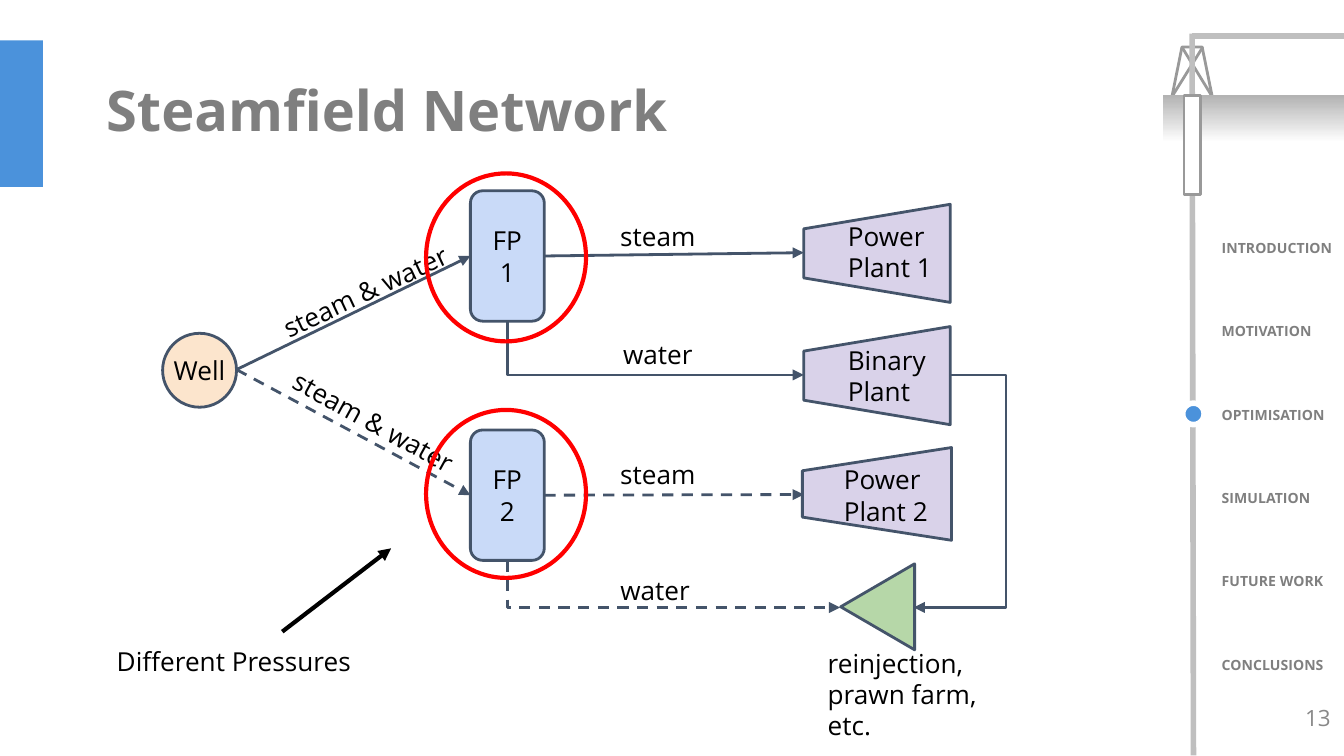
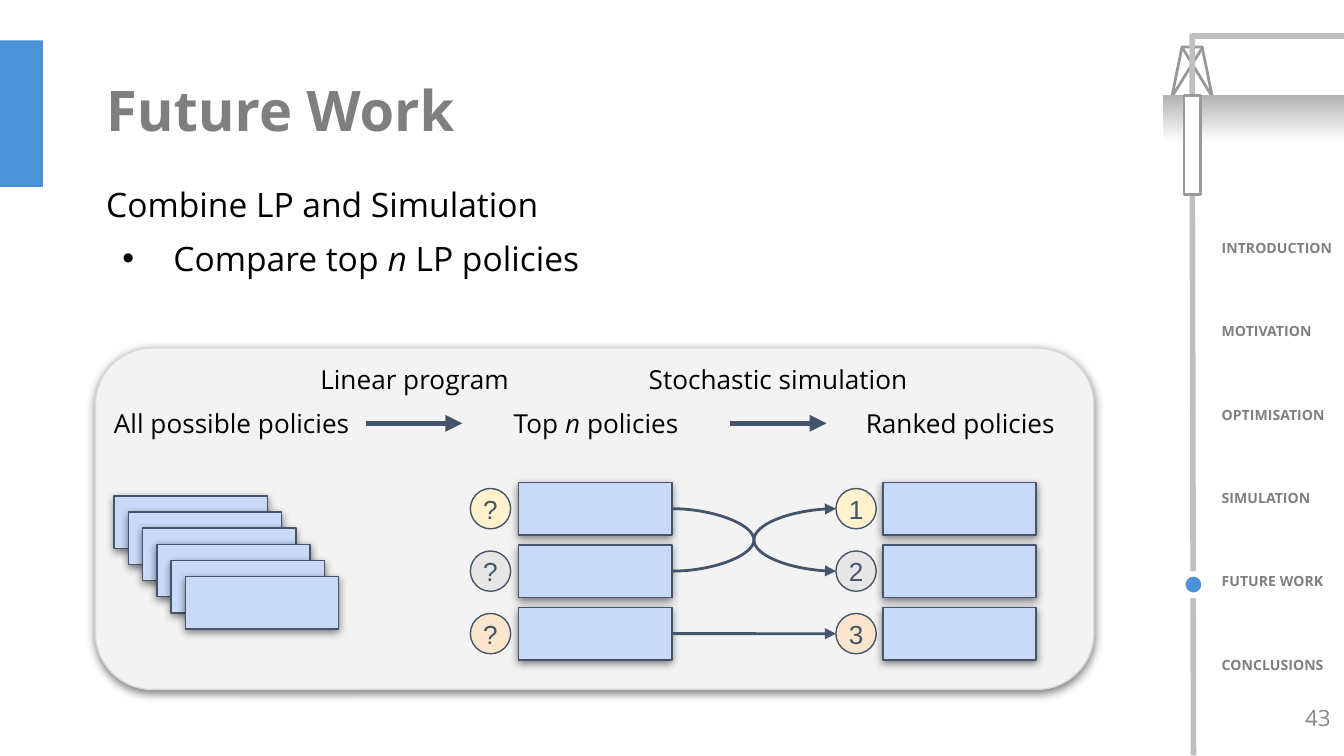
from lxml.etree import SubElement
from pptx import Presentation
from pptx.dml.color import RGBColor
from pptx.enum.dml import MSO_LINE
from pptx.enum.shapes import MSO_CONNECTOR as Route, MSO_SHAPE as Preset
from pptx.enum.text import MSO_ANCHOR as Anchor, MSO_AUTO_SIZE, PP_ALIGN as Align
from pptx.oxml.ns import qn
from pptx.util import Inches, Pt

BLACK = RGBColor(0x00, 0x00, 0x00)
WHITE = RGBColor(0xFF, 0xFF, 0xFF)
BLUE = RGBColor(0x4B, 0x92, 0xDB)
TITLE_GREY = RGBColor(0x7F, 0x7F, 0x7F)
NUMBER_GREY = RGBColor(0x88, 0x88, 0x88)
DERRICK_GREY = RGBColor(0x99, 0x99, 0x99)
GROUND_GREY = RGBColor(0xB3, 0xB3, 0xB3)
PIPE_GREY = RGBColor(0xBF, 0xBF, 0xBF)
PANEL_LINE = RGBColor(0xD9, 0xD9, 0xD9)
PANEL_FILL = RGBColor(0xF3, 0xF3, 0xF3)
NAVY = RGBColor(0x44, 0x54, 0x6A)
RED = RGBColor(0xFF, 0x00, 0x00)
PALE_BLUE = RGBColor(0xC9, 0xDA, 0xF8)
PEACH = RGBColor(0xFC, 0xE5, 0xCD)
LILAC = RGBColor(0xD9, 0xD2, 0xE9)
GREEN = RGBColor(0xB6, 0xD7, 0xA8)
GOLD = RGBColor(0xFF, 0xF2, 0xCC)
SILVER = RGBColor(0xE7, 0xE6, 0xE6)

FONT = "Open Sans"
SECTIONS = ["INTRODUCTION", "MOTIVATION", "OPTIMISATION", "SIMULATION", "FUTURE WORK", "CONCLUSIONS"]

SEPARATORS = [("FP1", 1.42), ("FP2", 3.2)]
PLANTS = [(6.16, 1.34, 0.73, 1.09), (6.16, 2.25, 0.73, 1.09), (6.18, 3.12, 0.69, 1.11)]
NETWORK_LABELS = [
    ("Power Plant 1", (6.21, 1.54, 0.99, 0.33), Align.LEFT, 0),
    ("Binary Plant", (6.21, 2.46, 0.99, 0.33), Align.LEFT, 0),
    ("Power Plant 2", (6.18, 3.35, 0.99, 0.33), Align.LEFT, 0),
    ("steam & water", (1.96, 1.88, 1.83, 0.52), Align.LEFT, 334.8),
    ("steam & water", (1.98, 2.99, 1.83, 0.52), Align.LEFT, 28.8),
    ("steam", (3.98, 1.54, 1.83, 0.52), Align.CENTER, 0),
    ("water", (3.98, 2.42, 1.83, 0.52), Align.CENTER, 0),
    ("steam", (3.98, 3.31, 1.83, 0.52), Align.CENTER, 0),
    ("water", (3.96, 4.17, 1.83, 0.52), Align.CENTER, 0),
    ("Different Pressures", (0.77, 4.7, 1.98, 0.43), Align.LEFT, 0),
]

BODY = ["Combine LP and Simulation", "Compare top *n* LP policies"]
STAGES = [
    ("All possible policies", (0.73, 2.68, 1.99, 0.94)),
    ("Top *n* policies", (3.44, 2.68, 1.99, 0.94)),
    ("Ranked policies", (6.15, 2.68, 1.99, 0.94)),
    ("Linear program", (2.09, 2.35, 1.99, 0.94)),
    ("Stochastic simulation", (4.57, 2.35, 2.44, 0.94)),
]
MEDALS = [GOLD, SILVER, PEACH]
RANKINGS = [(3.5, "???"), (6.22, "123")]
RANK_MOVES = [(0, 1), (1, 0), (2, 2)]
CARD_WIDTH, CARD_HEIGHT = 1.14, 0.39


def inches(values):
    return [Inches(value) for value in values]


def add_runs(paragraph, text):
    """Add text to a paragraph, with the parts between asterisks in italics."""
    for index, part in enumerate(text.split("*")):
        run = paragraph.add_run()
        run.text = part
        if index % 2:
            run.font.italic = True


def set_font(paragraph, size, color, name=FONT, bold=False):
    font = paragraph.font
    font.name, font.size, font.bold = name, Pt(size), bold
    font.color.rgb = color


def set_frame(frame, margins=(0.1, 0.1, 0.1, 0.1), anchor=Anchor.TOP):
    frame.word_wrap = True
    frame.auto_size = MSO_AUTO_SIZE.NONE
    frame.vertical_anchor = anchor
    frame.margin_left, frame.margin_top, frame.margin_right, frame.margin_bottom = inches(margins)


def write(shape, text, size=14, color=BLACK, align=Align.LEFT, name=FONT, bold=False, **frame_options):
    set_frame(shape.text_frame, **frame_options)
    paragraph = shape.text_frame.paragraphs[0]
    paragraph.alignment = align
    add_runs(paragraph, text)
    set_font(paragraph, size, color, name, bold)
    return paragraph


def add_label(slide, text, box, rotation=0, **options):
    label = slide.shapes.add_textbox(*inches(box))
    label.rotation = rotation
    write(label, text, **options)


def add_figure(slide, preset, box, fill=None, line=None, width=1.5, rotation=0, shadow=False):
    shape = slide.shapes.add_shape(preset, *inches(box))
    shape.rotation = rotation
    shape.shadow.inherit = False
    if fill is None:
        shape.fill.background()
    else:
        shape.fill.solid()
        shape.fill.fore_color.rgb = fill
    if line is None:
        shape.line.fill.background()
    else:
        shape.line.color.rgb = line
        shape.line.width = Pt(width)
    if shadow:
        effects = shape._element.spPr.find(qn("a:effectLst"))
        outer = SubElement(effects, qn("a:outerShdw"), blurRad=str(Pt(4.5)), dist=str(Pt(1.5)),
                           dir="5400000", algn="bl", rotWithShape="0")
        tint = SubElement(outer, qn("a:srgbClr"), val="000000")
        SubElement(tint, qn("a:alpha"), val="50000")
    return shape


def add_line(slide, start, end, color=NAVY, width=1.5, route=Route.STRAIGHT,
             dash=False, arrow=True, begin=None, finish=None):
    """Draw a connector; begin and finish are (shape, site) pairs to join."""
    connector = slide.shapes.add_connector(route, *inches(start + end))
    if begin:
        connector.begin_connect(*begin)
    if finish:
        connector.end_connect(*finish)
    connector.line.color.rgb = color
    connector.line.width = Pt(width)
    if dash:
        connector.line.dash_style = MSO_LINE.DASH
    properties = connector._element.spPr
    if arrow:
        SubElement(properties.find(qn("a:ln")), qn("a:tailEnd"), type="triangle")
    SubElement(properties, qn("a:effectLst"))
    return connector


def bend_down_then_right(connector):
    """Turn a connector into a single corner that leaves downwards."""
    across, down = connector.width, connector.height
    center_x, center_y = connector.left + across // 2, connector.top + down // 2
    connector.left, connector.top = center_x - down // 2, center_y - across // 2
    connector.width, connector.height = down, across
    properties = connector._element.spPr
    properties.find(qn("a:prstGeom")).set("prst", "bentConnector2")
    frame = properties.find(qn("a:xfrm"))
    frame.set("rot", "16200000")
    frame.set("flipH", "1")


def move_bend(connector, share):
    geometry = connector._element.spPr.find(qn("a:prstGeom"))
    guides = geometry.find(qn("a:avLst"))
    if guides is None:
        guides = SubElement(geometry, qn("a:avLst"))
    SubElement(guides, qn("a:gd"), name="adj1", fmla=f"val {round(share * 100000)}")


def add_rail(slide):
    add_figure(slide, Preset.TRAPEZOID, (8.72, 0.35, 0.3, 0.37), line=DERRICK_GREY)
    for start, end in [((8.8, 0.36), (9.02, 0.72)), ((8.95, 0.35), (8.72, 0.72))]:
        add_line(slide, start, end, DERRICK_GREY, arrow=False)
    add_figure(slide, Preset.RECTANGLE, (0, 0.3, 0.32, 1.09), BLUE)
    ground = add_figure(slide, Preset.RECTANGLE, (8.65, 0.71, 1.35, 0.35))
    ground.fill.gradient()
    ground.fill.gradient_angle = 270
    for stop, position, color in zip(ground.fill.gradient_stops, (0, 1), (GROUND_GREY, WHITE)):
        stop.position = position
        stop.color.rgb = color
    add_line(slide, (8.87, 0.25), (8.88, 5.62), PIPE_GREY, 3, arrow=False)
    add_figure(slide, Preset.RECTANGLE, (8.81, 0.71, 0.12, 0.74), WHITE, DERRICK_GREY)
    add_line(slide, (8.87, 0.27), (10, 0.27), PIPE_GREY, 3, arrow=False)
    for index, section in enumerate(SECTIONS):
        add_label(slide, section, (8.81, 1.72 + 0.62 * index, 1.19, 0.25), size=7.5, color=TITLE_GREY,
                  bold=True, margins=(0.28, 0.03, 0, 0.03), anchor=Anchor.MIDDLE)


def add_page(presentation, layout, title, number, marker_top):
    slide = presentation.slides.add_slide(presentation.slide_layouts[layout])
    add_rail(slide)
    heading = slide.shapes.title
    heading.left, heading.top, heading.width, heading.height = inches((0.69, 0.3, 8.62, 1.09))
    paragraph = write(heading, title, 30, TITLE_GREY, bold=True, anchor=Anchor.MIDDLE)
    paragraph.line_spacing = 0.9
    add_label(slide, number, (7.75, 5.19, 2.25, 0.3), size=12, color=NUMBER_GREY, align=Align.RIGHT,
              margins=(0.1, 0.05, 0.1, 0.05), anchor=Anchor.MIDDLE)
    add_figure(slide, Preset.OVAL, (8.8, marker_top, 0.16, 0.16), BLUE, WHITE, 3)
    return slide


def build_network(presentation):
    slide = add_page(presentation, 5, "Steamfield Network", "13", 3)
    well = add_figure(slide, Preset.OVAL, (1.21, 2.48, 0.55, 0.55), PEACH, NAVY)
    write(well, "Well", align=Align.CENTER, margins=(0, 0.1, 0, 0.1), anchor=Anchor.MIDDLE)
    separators = []
    for name, top in SEPARATORS:
        separator = add_figure(slide, Preset.ROUNDED_RECTANGLE, (3.5, top, 0.55, 0.97), PALE_BLUE, NAVY)
        write(separator, name, align=Align.CENTER, anchor=Anchor.MIDDLE)
        separators.append(separator)
    for box in PLANTS:
        add_figure(slide, Preset.TRAPEZOID, box, LILAC, NAVY, rotation=270)
    add_figure(slide, Preset.ISOSCELES_TRIANGLE, (6.21, 4.24, 0.64, 0.55), GREEN, NAVY, rotation=270)

    flows = [(1.9, (5.98, 1.88), (5.98, 2.79)), (3.68, (5.98, 3.68), (6.25, 4.52))]
    for index, (separator, (middle, steam_end, water_end)) in enumerate(zip(separators, flows)):
        dash = index == 1
        add_line(slide, (1.76, 2.75), (3.5, middle), dash=dash, finish=(separator, 1))
        add_line(slide, (4.05, middle), steam_end, dash=dash, begin=(separator, 3))
        water = add_line(slide, (3.77, middle + 0.49), water_end, route=Route.ELBOW,
                         dash=dash, begin=(separator, 2))
        bend_down_then_right(water)
    outflow = add_line(slide, (7.07, 2.79), (6.8, 4.52), route=Route.ELBOW)
    move_bend(outflow, -1.54)

    for text, box, align, rotation in NETWORK_LABELS:
        add_label(slide, text, box, rotation, align=align)
    add_label(slide, "reinjection, prawn farm, etc.", (6.06, 4.82, 1.48, 0.69), anchor=Anchor.MIDDLE)
    for top in (1.29, 3.05):
        add_figure(slide, Preset.OVAL, (3.17, top, 1.19, 1.25), line=RED, width=2.25)
    add_line(slide, (2.1, 4.7), (2.91, 4.08), BLACK, 2.25)


def add_card(slide, left, top):
    return add_figure(slide, Preset.RECTANGLE, (left, top, CARD_WIDTH, CARD_HEIGHT),
                      PALE_BLUE, NAVY, 0.75, shadow=True)


def build_future_work(presentation):
    slide = add_page(presentation, 1, "Future Work", "43", 4.27)
    body = slide.placeholders[1]
    body.left, body.top, body.width, body.height = inches((0.69, 1.27, 7.8, 3.69))
    set_frame(body.text_frame)
    for index, text in enumerate(BODY):
        paragraph = body.text_frame.add_paragraph() if index else body.text_frame.paragraphs[0]
        paragraph.space_before = Pt(7.1 if index else 0)
        add_runs(paragraph, text)
        properties = paragraph._p.get_or_add_pPr()
        properties.set("marL", str(Inches(0.5 * index)))
        properties.set("indent", str(Inches(-0.38 * index)))
        if index:
            SubElement(properties, qn("a:buFont"), typeface="Arial")
            SubElement(properties, qn("a:buChar"), char="•")
        else:
            SubElement(properties, qn("a:buNone"))
        set_font(paragraph, 18, BLACK)

    add_figure(slide, Preset.ROUNDED_RECTANGLE, (0.71, 2.59, 7.43, 2.54), PANEL_FILL, PANEL_LINE, 0.75,
               shadow=True)
    for index in range(6):
        add_card(slide, 0.85 + 0.53 * index / 5, 3.69 + 0.12 * index)
    rows = [3.59 + 0.93 * index / 2 for index in range(3)]
    top_cards = [add_card(slide, 3.86, top) for top in rows]
    for top in rows:
        add_card(slide, 6.57, top)
    middles = [top + CARD_HEIGHT / 2 for top in rows]
    for source, target in RANK_MOVES:
        add_line(slide, (5, middles[source]), (6.22, middles[target]), route=Route.CURVE,
                 begin=(top_cards[source], 3))
    for left in (2.72, 5.43):
        add_line(slide, (left, 3.15), (left + 0.72, 3.15), width=3)
    for text, box in STAGES:
        add_label(slide, text, box, align=Align.CENTER, anchor=Anchor.MIDDLE)
    for left, ranks in RANKINGS:
        for rank, medal, middle in zip(ranks, MEDALS, middles):
            badge = add_figure(slide, Preset.OVAL, (left, middle - 0.15, 0.3, 0.3), medal, NAVY, 0.75)
            write(badge, rank, color=NAVY, align=Align.CENTER, name="Arial",
                  margins=(0, 0.1, 0, 0.1), anchor=Anchor.MIDDLE)


def main():
    presentation = Presentation()
    presentation.slide_width = Inches(10)
    presentation.slide_height = Inches(10 * 9 / 16)
    build_network(presentation)
    build_future_work(presentation)
    presentation.save("out.pptx")


if __name__ == "__main__":
    main()
